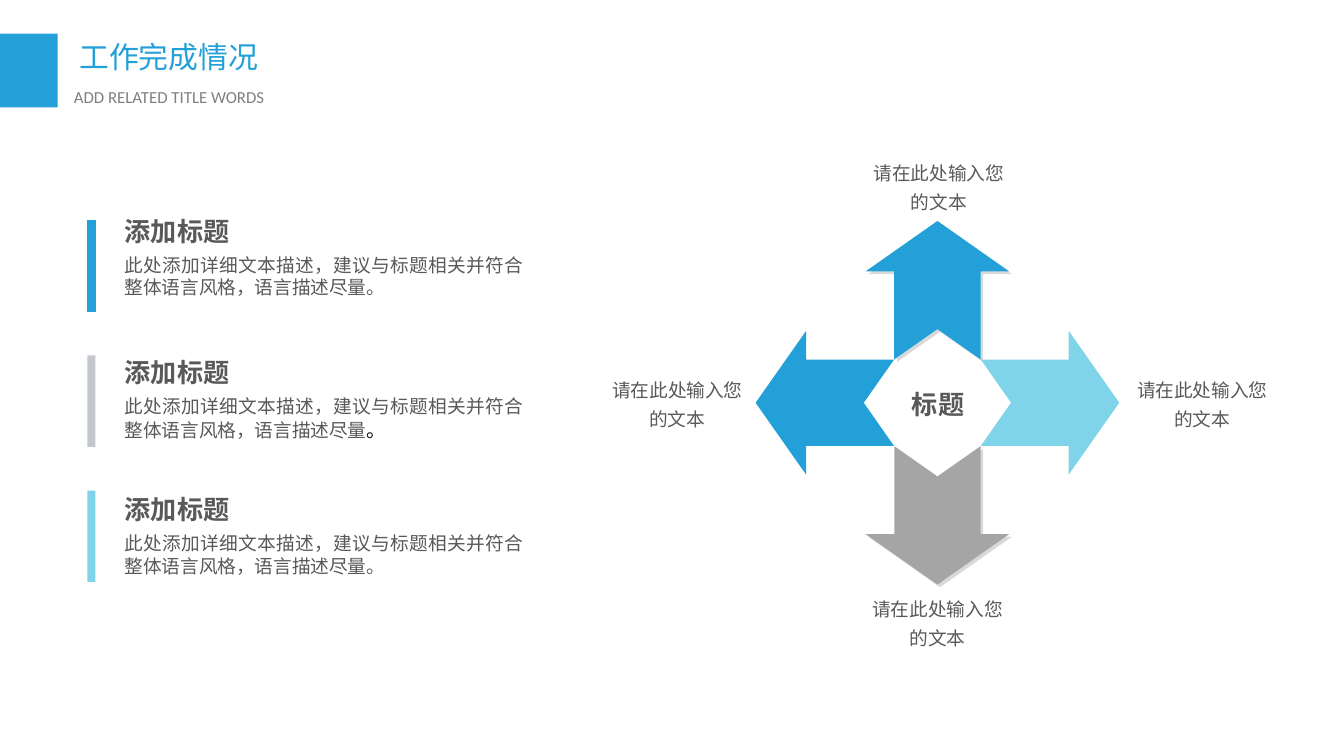
import pptx
import pptx.util
import pptx.dml.color
import pptx.enum.shapes
import pptx.enum.text
import pptx.oxml
import pptx.oxml.ns

BLUE, CYAN, GREY, SILVER = "22A0D7", "7FD4E9", "A5A5A5", "C4C7CB"
INK, DIM, BLACK = "595959", "808080", "000000"
KIND = pptx.enum.shapes.MSO_SHAPE
ALIGN = pptx.enum.text.PP_ALIGN
SHADE = (
    f'<a:effectLst {pptx.oxml.ns.nsdecls("a")}>'
    '<a:outerShdw dist="25400" dir="2700000" algn="tl" rotWithShape="0">'
    '<a:srgbClr val="000000"><a:alpha val="14000"/></a:srgbClr>'
    '</a:outerShdw></a:effectLst>'
)


def tint(code):
    return pptx.dml.color.RGBColor.from_string(code)


class Deck:
    """Draws on one slide with a grid of 100 columns of square cells."""

    font = "Noto Sans CJK SC"

    def __init__(self):
        self.show = pptx.Presentation()
        self.show.slide_width = pptx.util.Inches(10)
        self.show.slide_height = pptx.util.Inches(10 * 9 / 16)
        self.cell = self.show.slide_width / 100
        self.slide = self.show.slides.add_slide(self.show.slide_layouts[6])

    def span(self, *cells):
        return [round(n * self.cell) for n in cells]

    def shape(self, kind, box, fill, line=None):
        item = self.slide.shapes.add_shape(kind, *self.span(*box))
        item.shadow.inherit = False
        item.fill.solid()
        item.fill.fore_color.rgb = tint(fill)
        if line:
            item.line.color.rgb = tint(line)
            item.line.width = pptx.util.Pt(0.75)
        else:
            item.line.fill.background()
        return item

    def arrow(self, box, turn, fill, shade=False):
        item = self.shape(KIND.NOTCHED_RIGHT_ARROW, box, fill)
        item.adjustments[0], item.adjustments[1] = 0.6, 0.365
        item.rotation = turn
        if shade:
            props = item._element.spPr
            props.remove(props.find(pptx.oxml.ns.qn("a:effectLst")))
            props.append(pptx.oxml.parse_xml(SHADE))

    def text(self, box, runs, align=None, inset=(1, 0.5), gap=None, group=None):
        home = group or self.slide
        item = home.shapes.add_textbox(*self.span(*box))
        frame = item.text_frame
        frame.word_wrap = True
        frame.auto_size = pptx.enum.text.MSO_AUTO_SIZE.SHAPE_TO_FIT_TEXT
        side, edge = self.span(*inset)
        frame.margin_left = frame.margin_right = side
        frame.margin_top = frame.margin_bottom = edge
        para = frame.paragraphs[0]
        para.alignment = align
        if gap:
            para.line_spacing = gap
        for words, size, color, bold, face in runs:
            run = para.add_run()
            run.text = words
            run.font.size = pptx.util.Pt(size)
            run.font.bold = bold
            run.font.color.rgb = tint(color)
            run.font.name = face
            props = run._r.get_or_add_rPr()
            east = props.makeelement(pptx.oxml.ns.qn("a:ea"), {"typeface": face})
            props.append(east)

    def run(self, words, size=10, color=INK, bold=False, face=None):
        return words, size, color, bold, face or self.font

    def label(self, box):
        self.text(box, [self.run("请在此处输入您的文本")], ALIGN.CENTER, (0.7, 0.4), 1.3)

    def entry(self, top, high, body):
        group = self.slide.shapes.add_group_shape()
        head = [self.run("添加标题", 14, bold=True)]
        self.text((8.3, top, 21.9, 3.4), head, ALIGN.LEFT, group=group)
        self.text((8.3, top + 2.9, 31.6, high), body, ALIGN.JUSTIFY, group=group)


def main():
    deck = Deck()
    deck.shape(KIND.RECTANGLE, (0, 2.5, 4.3, 5.5), BLUE)
    pad = (0.8, 0.4)
    deck.text((5.1, 2.5, 20.1, 3.5), [deck.run("工作完成情况", 16, BLUE)], ALIGN.JUSTIFY, pad)
    note = deck.run("ADD RELATED TITLE WORDS", 9, DIM, face="Calibri")
    deck.text((4.7, 6.05, 22.3, 2.3), [note], ALIGN.JUSTIFY, pad)

    mid, axis, reach = 69.75, 29.97, 8.38
    wide, high = 10.3, 10.7
    for dx, dy, turn, fill in (
        (0, -1, 270, BLUE), (1, 0, 0, CYAN), (-1, 0, 180, BLUE), (0, 1, 90, GREY),
    ):
        left = mid + dx * reach - wide / 2
        top = axis + dy * reach - high / 2
        deck.arrow((left, top, wide, high), turn, fill, shade=dy != 0)
    deck.text((64.7, 28.5, 10.2, 3.1), [deck.run("标题", 14, bold=True)], ALIGN.CENTER, (0.7, 0.4))
    for left, top, width in (
        (83.5, 27.25, 11.9), (44.6, 27.3, 11.6), (63.75, 11.15, 12.2), (63.55, 43.55, 12.4),
    ):
        deck.label((left, top, width, 5.1))

    for row, (fill, line) in enumerate(((BLUE, BLUE), (SILVER, None), (CYAN, None))):
        deck.shape(KIND.RECTANGLE, (6.5, 16.4 + row * 10.05, 0.6, 6.8), fill, line)
    body = "此处添加详细文本描述，建议与标题相关并符合整体语言风格，语言描述尽量"
    plain = [deck.run(body + "。")]
    mixed = [deck.run(body), deck.run("。", 10.5, BLACK)]
    for top, tall, runs in ((15.5, 4.4, plain), (26, 4.5, mixed), (36.2, 4.4, plain)):
        deck.entry(top, tall, runs)
    deck.show.save("out.pptx")


if __name__ == "__main__":
    main()
